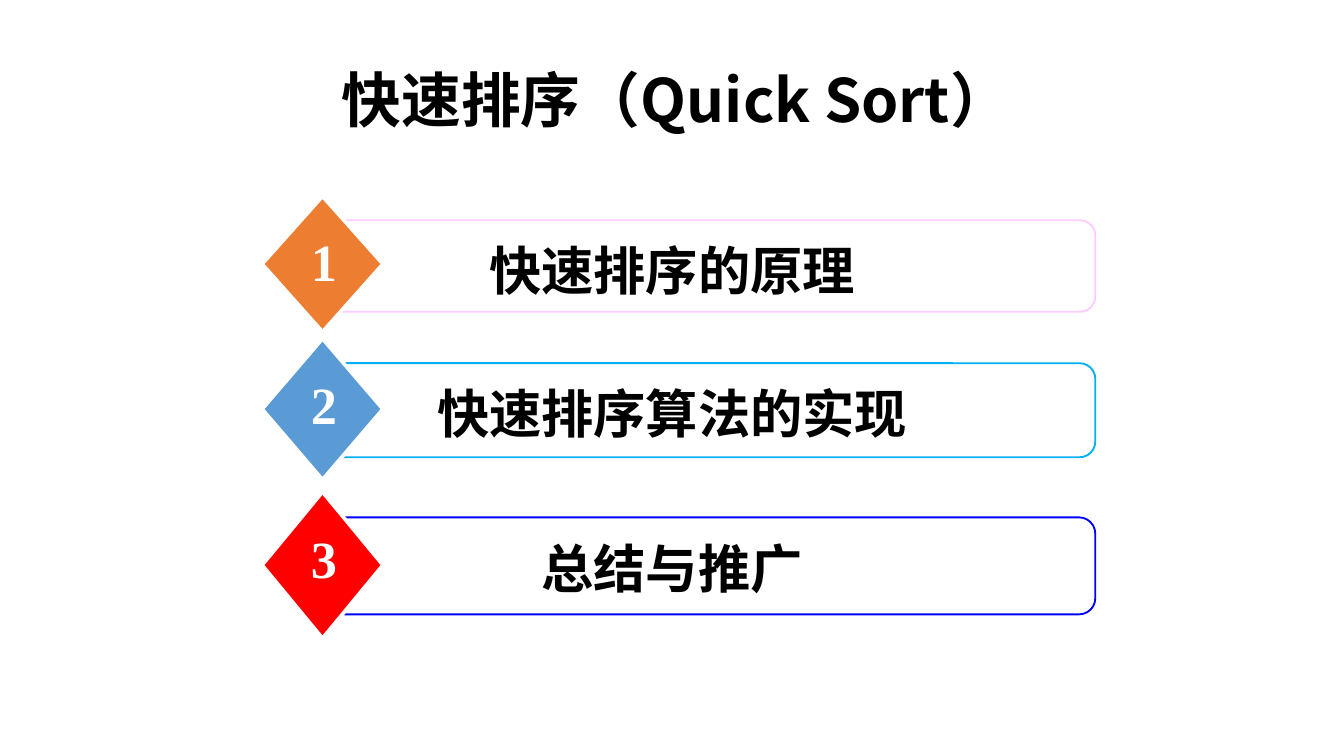
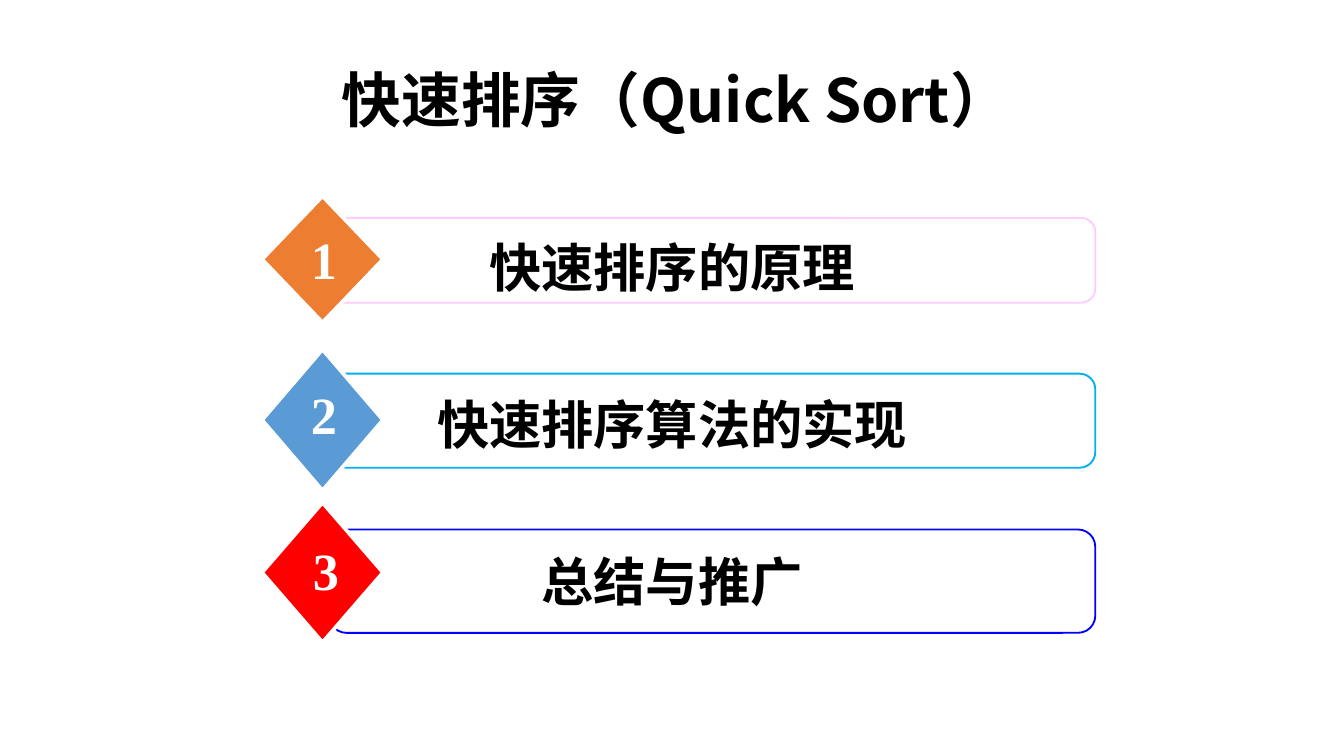
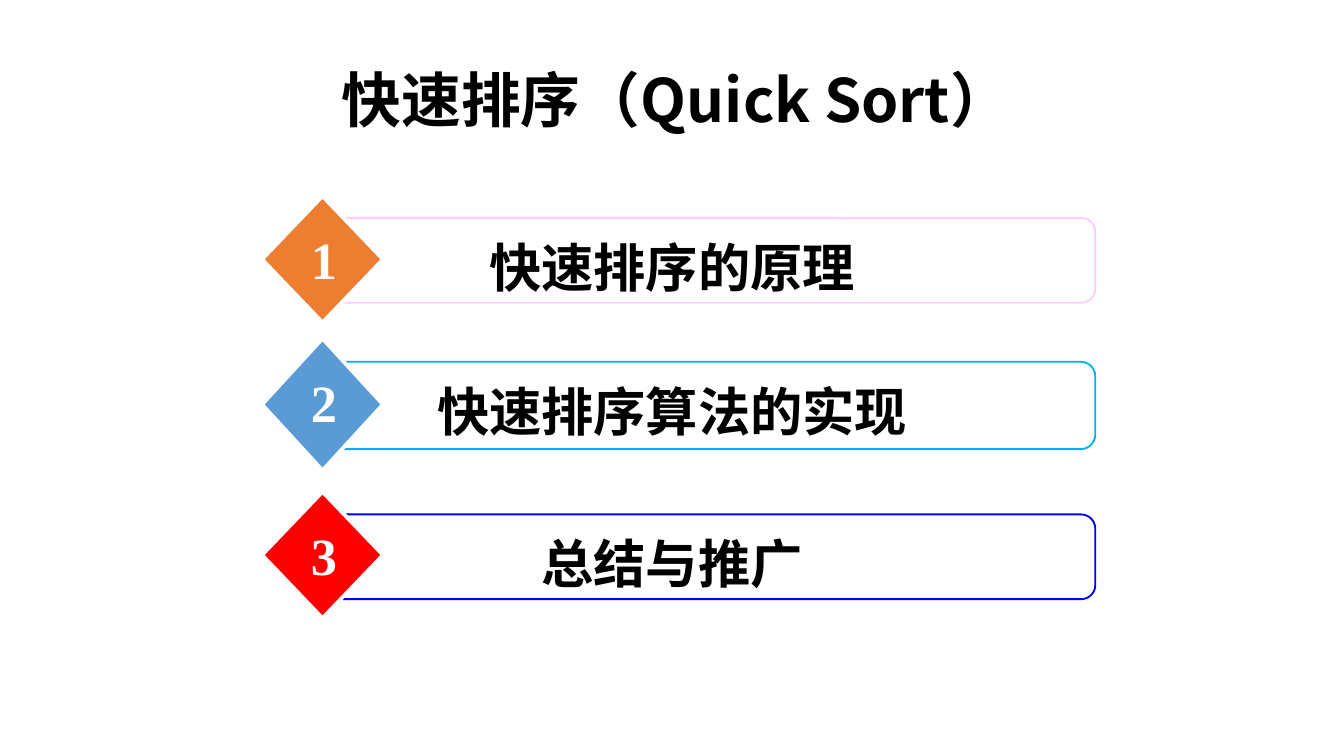
"""Build three agenda slides for a talk on quick sort."""
from lxml.etree import SubElement
from pptx import Presentation
from pptx.dml.color import RGBColor
from pptx.enum.shapes import MSO_SHAPE
from pptx.enum.text import MSO_ANCHOR, MSO_AUTO_SIZE, PP_ALIGN
from pptx.oxml.ns import qn
from pptx.util import Pt

CJK, SERIF = "Noto Sans CJK SC", "Times New Roman"
BLACK, WHITE = "000000", "FFFFFF"
TITLE = "快速排序（Quick Sort）"
TOPICS = [
    ("快速排序的原理", "ED7D31", "FFCCFF"),
    ("快速排序算法的实现", "5B9BD5", "00B0F0"),
    ("总结与推广", "FF0000", "0000FF"),
]
# diamond top, diamond height, bar top, bar height, number width
LAYOUTS = [
    [(105.1, 72.7, 118, 49, 28.8), (181.4, 75.6, 194.6, 50.4, 28.8), (263.5, 78.5, 277.2, 52, 28.8)],
    [(105.1, 67.7, 116.8, 45.4, 28.8), (187.2, 75.6, 200.2, 50.4, 28.8), (269.3, 74.9, 283.7, 55.4, 31)],
    [(105.1, 67.7, 116.8, 45.4, 28.8), (181.4, 70.6, 193.8, 46.8, 28.8), (263.5, 67.7, 275.6, 45.4, 28.8)],
]


def add_text(shapes, x, y, w, h, text, size, font, color):
    s = shapes.add_textbox(Pt(x), Pt(y), Pt(w), Pt(h))
    s.text_frame.word_wrap = True
    p = s.text_frame.paragraphs[0]
    p.alignment = PP_ALIGN.CENTER
    r = p.add_run()
    r.text = text
    r.font.size, r.font.bold, r.font.name = Pt(size), True, font
    r.font.color.rgb = RGBColor.from_string(color)
    SubElement(r.font._element, qn("a:ea"), typeface=CJK)
    return s.text_frame


def add_box(shapes, kind, x, y, w, h, fill, line, weight):
    s = shapes.add_shape(kind, Pt(x), Pt(y), Pt(w), Pt(h))
    s.shadow.inherit = False
    s.fill.solid()
    s.fill.fore_color.rgb = RGBColor.from_string(fill)
    s.line.color.rgb = RGBColor.from_string(line)
    s.line.width = Pt(weight)
    return s


prs = Presentation()
prs.slide_width, prs.slide_height = Pt(720), Pt(405)

for rows in LAYOUTS:
    slide = prs.slides.add_slide(prs.slide_layouts[6])
    tf = add_text(slide.shapes, 18, 33.8, 688.3, 43.2, TITLE, 32, CJK, BLACK)
    tf.vertical_anchor = MSO_ANCHOR.MIDDLE
    tf.paragraphs[0].line_spacing = 0.9

    for number, (topic, row) in enumerate(zip(TOPICS, rows), 1):
        label, fill, outline = topic
        diamond_top, diamond_h, bar_top, bar_h, number_w = row
        shapes = slide.shapes.add_group_shape().shapes
        bar = add_box(shapes, MSO_SHAPE.ROUNDED_RECTANGLE, 176.4, bar_top, 410.4, bar_h,
                      WHITE, outline, 1)
        bar.adjustments[0] = 0.167
        add_box(shapes, MSO_SHAPE.DIAMOND, 140.4, diamond_top, 64.8, diamond_h, fill, WHITE, 2)
        text_h = bar_h * 1.27
        tf = add_text(shapes, 198, bar_top + bar_h / 8, 324, text_h, label, 28, SERIF, BLACK)
        tf.auto_size = MSO_AUTO_SIZE.SHAPE_TO_FIT_TEXT
        tf = add_text(shapes, 159.1, bar_top + 1.2, number_w, text_h, str(number), 28, SERIF, WHITE)
        tf.auto_size = MSO_AUTO_SIZE.SHAPE_TO_FIT_TEXT
        tf.word_wrap = False

prs.save("out.pptx")
